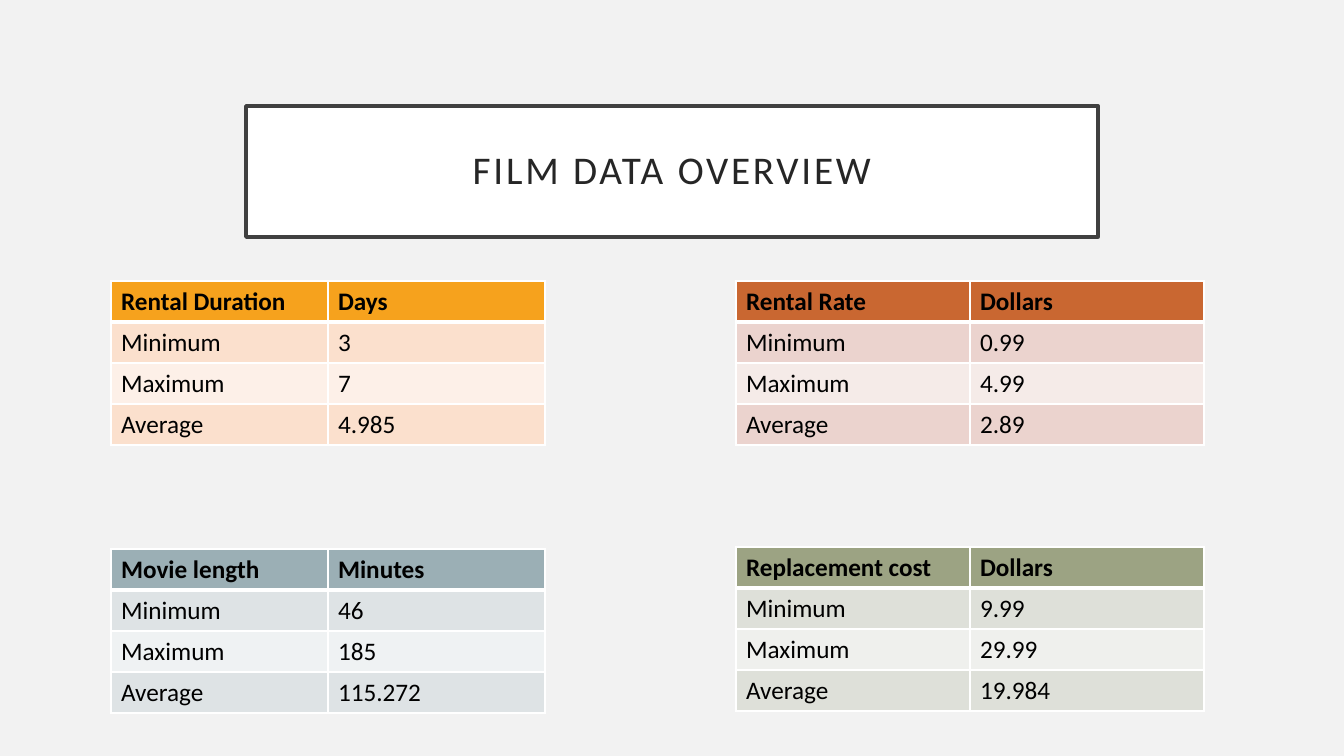
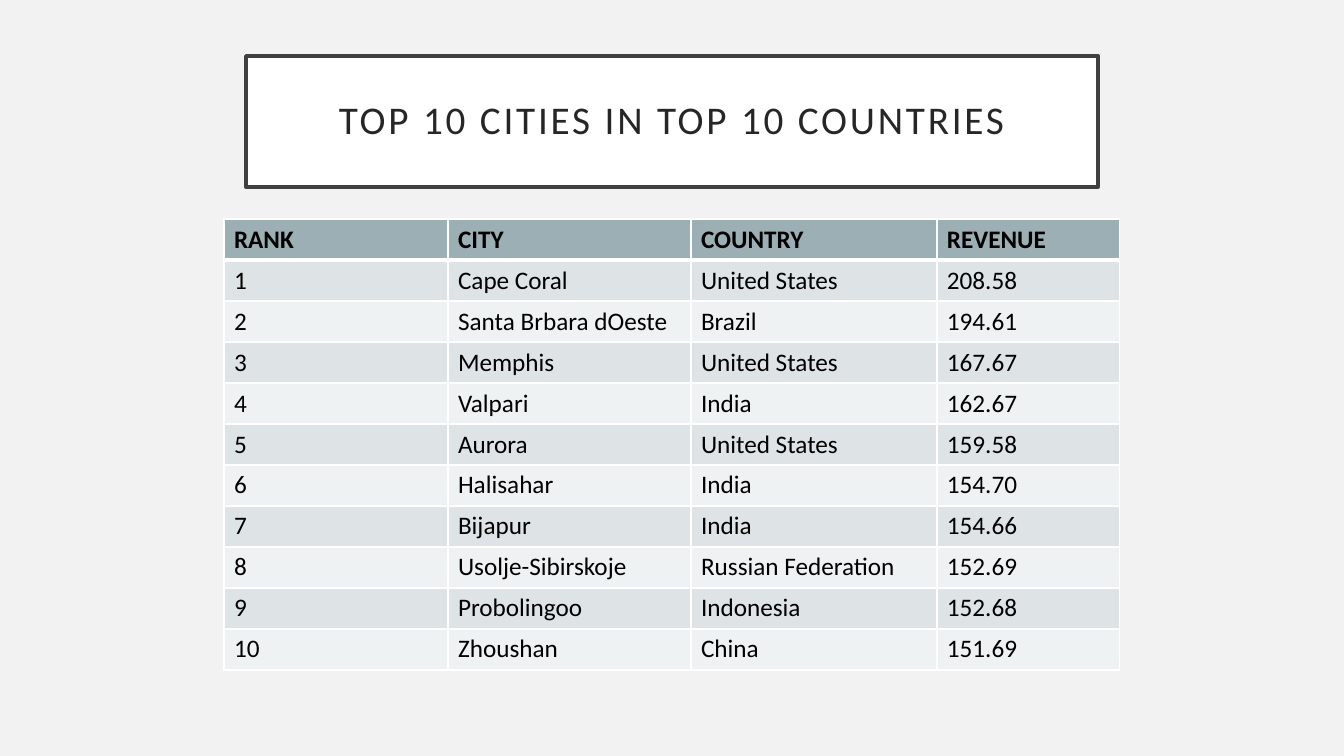
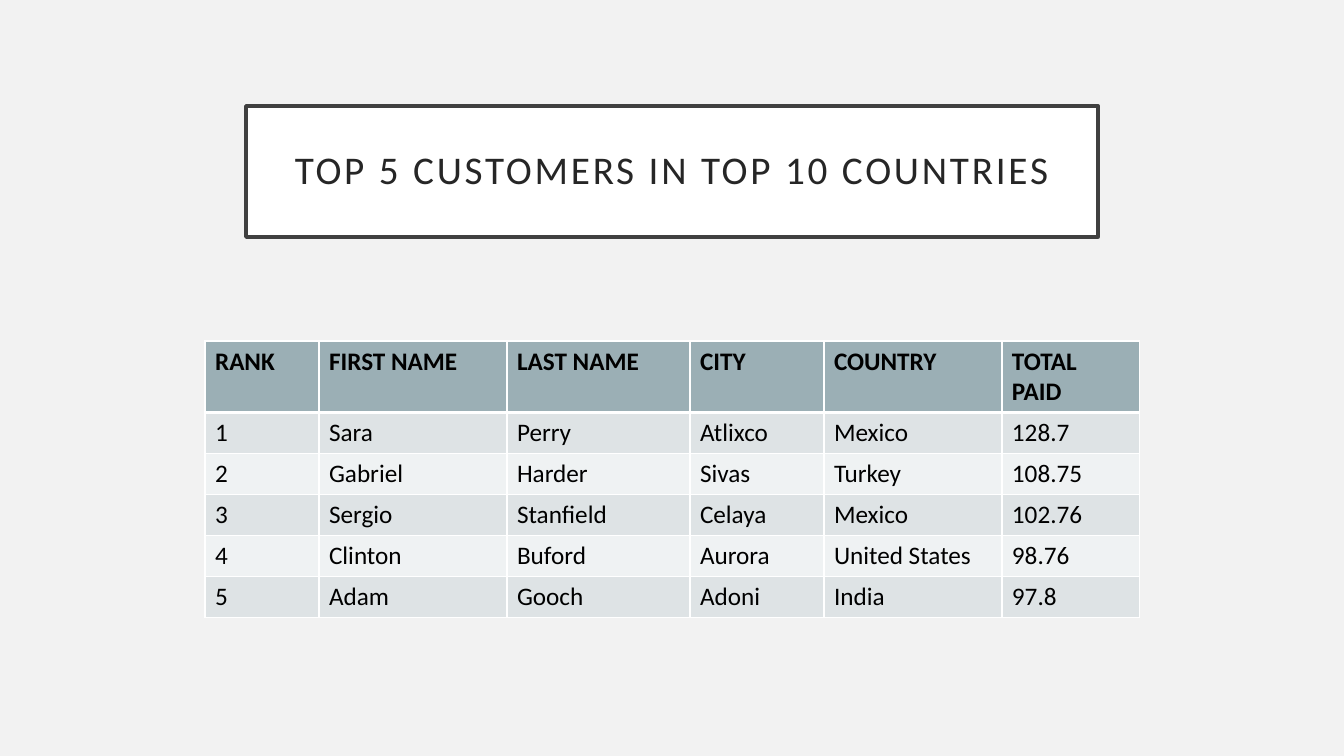
from lxml import etree
from pptx import Presentation
from pptx.dml.color import RGBColor
from pptx.enum.shapes import MSO_SHAPE
from pptx.enum.text import MSO_ANCHOR, PP_ALIGN
from pptx.oxml.ns import qn
from pptx.util import Emu, Pt

RECT = MSO_SHAPE.RECTANGLE
MIDDLE = MSO_ANCHOR.MIDDLE
CENTER = PP_ALIGN.CENTER
BLANK = 6
SCALE = 914400 / 100.8
ROW_HEIGHT = 41

COLORS = {
    "background": "F2F2F2",
    "white": "FFFFFF",
    "frame": "404040",
    "title": "262626",
    "text": "000000",
}
BANDS = {
    "orange": ("F6A21D", "FBE0CD", "FDF0E8"),
    "rust": ("C96731", "EBD3CE", "F5EBE8"),
    "blue": ("9BAFB5", "DEE3E5", "EFF2F3"),
    "green": ("9CA383", "DEE0D9", "EFF0ED"),
}
TITLE_FONT = {"name": "Calibri", "size": Pt(28), "bold": False}
CELL_FONT = {"name": "Calibri", "size": Pt(18), "bold": False}
HEADER_FONT = {**CELL_FONT, "bold": True}
TITLE_FRAME = {
    "word_wrap": True,
    "vertical_anchor": MIDDLE,
    "margin_left": Emu(182880),
    "margin_right": Emu(182880),
    "margin_top": Emu(182880),
    "margin_bottom": Emu(182880),
}

STATISTICS = ("Minimum", "Maximum", "Average")
OVERVIEW = [
    (111, 281, 217, "orange", "Rental Duration", "Days", ("3", "7", "4.985")),
    (736, 281, 234, "rust", "Rental Rate", "Dollars", ("0.99", "4.99", "2.89")),
    (111, 549, 217, "blue", "Movie length", "Minutes", ("46", "185", "115.272")),
    (736, 547, 234, "green", "Replacement cost", "Dollars", ("9.99", "29.99", "19.984")),
]
CITIES = [
    ("RANK", "CITY", "COUNTRY", "REVENUE"),
    ("1", "Cape Coral", "United States", "208.58"),
    ("2", "Santa Brbara dOeste", "Brazil", "194.61"),
    ("3", "Memphis", "United States", "167.67"),
    ("4", "Valpari", "India", "162.67"),
    ("5", "Aurora", "United States", "159.58"),
    ("6", "Halisahar", "India", "154.70"),
    ("7", "Bijapur", "India", "154.66"),
    ("8", "Usolje-Sibirskoje", "Russian Federation", "152.69"),
    ("9", "Probolingoo", "Indonesia", "152.68"),
    ("10", "Zhoushan", "China", "151.69"),
]
CUSTOMERS = [
    ("RANK", "FIRST NAME", "LAST NAME", "CITY", "COUNTRY", "TOTAL PAID"),
    ("1", "Sara", "Perry", "Atlixco", "Mexico", "128.7"),
    ("2", "Gabriel", "Harder", "Sivas", "Turkey", "108.75"),
    ("3", "Sergio", "Stanfield", "Celaya", "Mexico", "102.76"),
    ("4", "Clinton", "Buford", "Aurora", "United States", "98.76"),
    ("5", "Adam", "Gooch", "Adoni", "India", "97.8"),
]


def px(value):
    return Emu(round(value * SCALE))


def rgb(name):
    return RGBColor.from_string(COLORS[name])


def set_attributes(target, values):
    for name, value in values.items():
        setattr(target, name, value)


def paint(fill, color):
    fill.solid()
    fill.fore_color.rgb = RGBColor.from_string(color)


def add_run(p, text, font, color):
    r = p.add_run()
    r.text = text
    set_attributes(r.font, font)
    r.font.color.rgb = rgb(color)
    return r


def add_title_slide(prs, text, top=106):
    s = prs.slides.add_slide(prs.slide_layouts[BLANK])
    sp = s.shapes.add_shape(RECT, px(246), px(top), px(852), px(131))
    sp.shadow.inherit = False
    paint(sp.fill, COLORS["white"])
    sp.line.color.rgb = rgb("frame")
    sp.line.width = Pt(2.5)
    tf = sp.text_frame
    set_attributes(tf, TITLE_FRAME)
    p = tf.paragraphs[0]
    set_attributes(p, {"alignment": CENTER, "line_spacing": 0.9})
    r = add_run(p, text, TITLE_FONT, "title")
    r.font._element.set("spc", "200")
    return s


def add_borders(cell, top, bottom):
    tc_pr = cell._tc.get_or_add_tcPr()
    for tag, width in (("a:lnL", 1), ("a:lnR", 1), ("a:lnT", top), ("a:lnB", bottom)):
        ln = etree.SubElement(tc_pr, qn(tag), w=str(Pt(width)))
        fill = etree.SubElement(ln, qn("a:solidFill"))
        etree.SubElement(fill, qn("a:srgbClr"), val=COLORS["white"])


def add_banded_table(s, left, top, widths, rows, band):
    frame = s.shapes.add_table(
        len(rows), len(widths), px(left), px(top),
        px(sum(widths)), px(ROW_HEIGHT * len(rows)))
    table = frame.table
    for column, width in zip(table.columns, widths):
        column.width = px(width)
    header, odd, even = BANDS[band]
    for i, values in enumerate(rows):
        table.rows[i].height = px(ROW_HEIGHT)
        color = header if i == 0 else odd if i % 2 else even
        font = HEADER_FONT if i == 0 else CELL_FONT
        for j, text in enumerate(values):
            cell = table.cell(i, j)
            add_borders(cell, 3 if i == 1 else 1, 3 if i == 0 else 1)
            paint(cell.fill, color)
            add_run(cell.text_frame.paragraphs[0], text, font, "text")


def main():
    prs = Presentation()
    prs.slide_width, prs.slide_height = px(1344), px(756)
    paint(prs.slide_master.background.fill, COLORS["background"])

    s = add_title_slide(prs, "FILM DATA OVERVIEW")
    for left, top, width, band, measure, unit, values in OVERVIEW:
        rows = [(measure, unit), *zip(STATISTICS, values)]
        add_banded_table(s, left, top, (width, width), rows, band)

    s = add_title_slide(prs, "TOP 10 CITIES IN TOP 10 COUNTRIES", top=56)
    add_banded_table(s, 224, 219, (224, 243, 246, 183), CITIES, "blue")

    s = add_title_slide(prs, "TOP 5 CUSTOMERS IN TOP 10 COUNTRIES")
    add_banded_table(s, 205, 341, (114, 188, 183, 134, 178, 138), CUSTOMERS, "blue")

    prs.save("out.pptx")


main()
